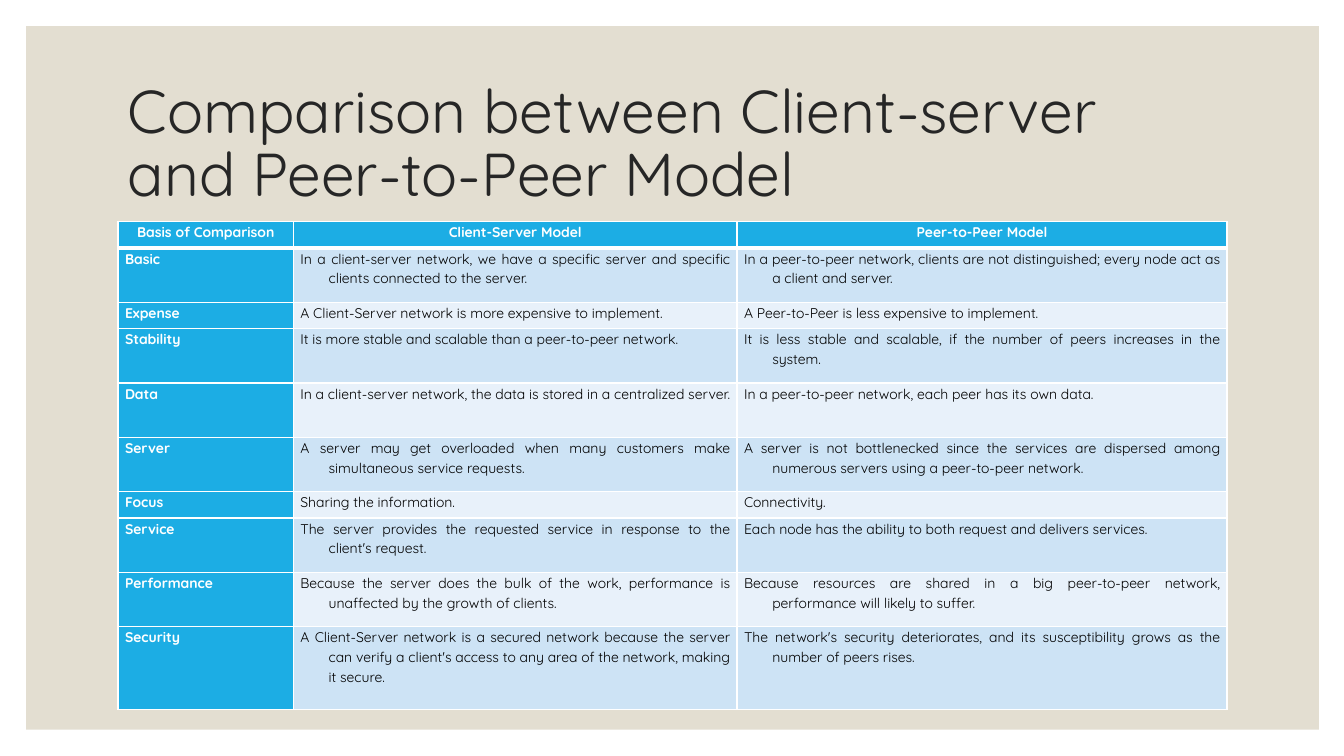
from dataclasses import dataclass

from lxml import etree
from pptx import Presentation
from pptx.dml.color import RGBColor
from pptx.enum.shapes import MSO_SHAPE
from pptx.enum.text import MSO_ANCHOR, PP_ALIGN
from pptx.oxml.ns import qn
from pptx.slide import Slide
from pptx.table import Table, _Cell
from pptx.text.text import _Paragraph
from pptx.util import Inches, Pt

RECT = MSO_SHAPE.RECTANGLE
MIDDLE = MSO_ANCHOR.MIDDLE
CENTER = PP_ALIGN.CENTER
JUSTIFY = PP_ALIGN.JUSTIFY
FONT = "Quicksand"
HEX = {
    "sand": "E3DED1",
    "title": "262626",
    "head": "1CADE4",
    "dark": "CDE3F5",
    "light": "E8F1FA",
    "white": "FFFFFF",
    "black": "000000",
}
WIDTHS = (1.74, 4.4, 4.86)
LINES = {1: 0.26, 2: 0.54, 3: 0.82}


@dataclass
class Row:
    basis: str
    client: str
    peer: str
    lines: int


ROWS = [
    Row("Basis of Comparison", "Client-Server Model", "Peer-to-Peer Model", 1),
    Row("Basic",
        "In a client-server network, we have a specific server and specific clients connected to the server.",
        "In a peer-to-peer network, clients are not distinguished; every node act as a client and server.", 2),
    Row("Expense",
        "A Client-Server network is more expensive to implement.",
        "A Peer-to-Peer is less expensive to implement.", 1),
    Row("Stability",
        "It is more stable and scalable than a peer-to-peer network.",
        "It is less stable and scalable, if the number of peers increases in the system.", 2),
    Row("Data",
        "In a client-server network, the data is stored in a centralized server.",
        "In a peer-to-peer network, each peer has its own data.", 2),
    Row("Server",
        "A server may get overloaded when many customers make simultaneous service requests.",
        "A server is not bottlenecked since the services are dispersed among numerous servers "
        "using a peer-to-peer network.", 2),
    Row("Focus", "Sharing the information.", "Connectivity.", 1),
    Row("Service",
        "The server provides the requested service in response to the client's request.",
        "Each node has the ability to both request and delivers services.", 2),
    Row("Performance",
        "Because the server does the bulk of the work, performance is unaffected by the growth of clients.",
        "Because resources are shared in a big peer-to-peer network, performance will likely to suffer.", 2),
    Row("Security",
        "A Client-Server network is a secured network because the server can verify a client's access "
        "to any area of the network, making it secure.",
        "The network's security deteriorates, and its susceptibility grows as the number of peers rises.", 3),
]


def color(name: str) -> RGBColor:
    return RGBColor.from_string(HEX[name])


def style(para: _Paragraph, size: float, tint: str, bold: bool = False) -> None:
    for run in para.runs:
        run.font.name = FONT
        run.font.size = Pt(size)
        run.font.bold = bold
        run.font.color.rgb = color(tint)


def add_panel(slide: Slide) -> None:
    panel = slide.shapes.add_shape(RECT, Inches(0.26), Inches(0.26), Inches(12.82), Inches(6.98))
    panel.shadow.inherit = False
    panel.fill.solid()
    panel.fill.fore_color.rgb = color("sand")
    panel.line.fill.background()


def add_title(slide: Slide, text: str) -> None:
    box = slide.shapes.add_textbox(Inches(1.17), Inches(0.7), Inches(11), Inches(1.5))
    frame = box.text_frame
    frame.word_wrap = True
    frame.vertical_anchor = MIDDLE
    frame.text = text
    para = frame.paragraphs[0]
    para.line_spacing = 0.86
    style(para, 43.2, "title")


def add_edges(cell: _Cell, top: float, base: float) -> None:
    props = cell._tc.get_or_add_tcPr()
    for tag, width in (("a:lnL", 1), ("a:lnR", 1), ("a:lnT", top), ("a:lnB", base)):
        edge = etree.SubElement(props, qn(tag), w=str(Pt(width)))
        fill = etree.SubElement(edge, qn("a:solidFill"))
        etree.SubElement(fill, qn("a:srgbClr"), val=HEX["white"])


def fill_cell(cell: _Cell, text: str, row: int, col: int) -> None:
    label = row == 0 or col == 0
    add_edges(cell, 3 if row == 1 else 1, 3 if row == 0 else 1)
    cell.fill.solid()
    cell.fill.fore_color.rgb = color("head" if label else "dark" if row % 2 else "light")
    cell.margin_left = cell.margin_right = Inches(0.07)
    cell.margin_top = cell.margin_bottom = 0
    cell.text_frame.text = text
    para = cell.text_frame.paragraphs[0]
    para.alignment = CENTER if row == 0 else JUSTIFY
    para.line_spacing = Pt(14)
    para.space_after = Pt(3)
    props = para._p.get_or_add_pPr()
    props.set("marL", str(Inches(0.28)))
    props.set("indent", str(Inches(-0.28)))
    style(para, 10, "white" if label else "black", label)


def add_grid(slide: Slide) -> Table:
    high = sum(LINES[row.lines] for row in ROWS)
    grid = slide.shapes.add_table(
        len(ROWS), len(WIDTHS), Inches(1.17), Inches(2.2), Inches(sum(WIDTHS)), Inches(high)
    ).table
    for col, width in zip(grid.columns, WIDTHS):
        col.width = Inches(width)
    for i, row in enumerate(ROWS):
        grid.rows[i].height = Inches(LINES[row.lines])
        for j, text in enumerate((row.basis, row.client, row.peer)):
            fill_cell(grid.cell(i, j), text, i, j)
    return grid


def main() -> None:
    deck = Presentation()
    deck.slide_width = Inches(13.33)
    deck.slide_height = Inches(7.5)
    slide = deck.slides.add_slide(deck.slide_layouts[6])
    add_panel(slide)
    add_title(slide, "Comparison between Client-server and Peer-to-Peer Model")
    add_grid(slide)
    deck.save("out.pptx")


if __name__ == "__main__":
    main()
